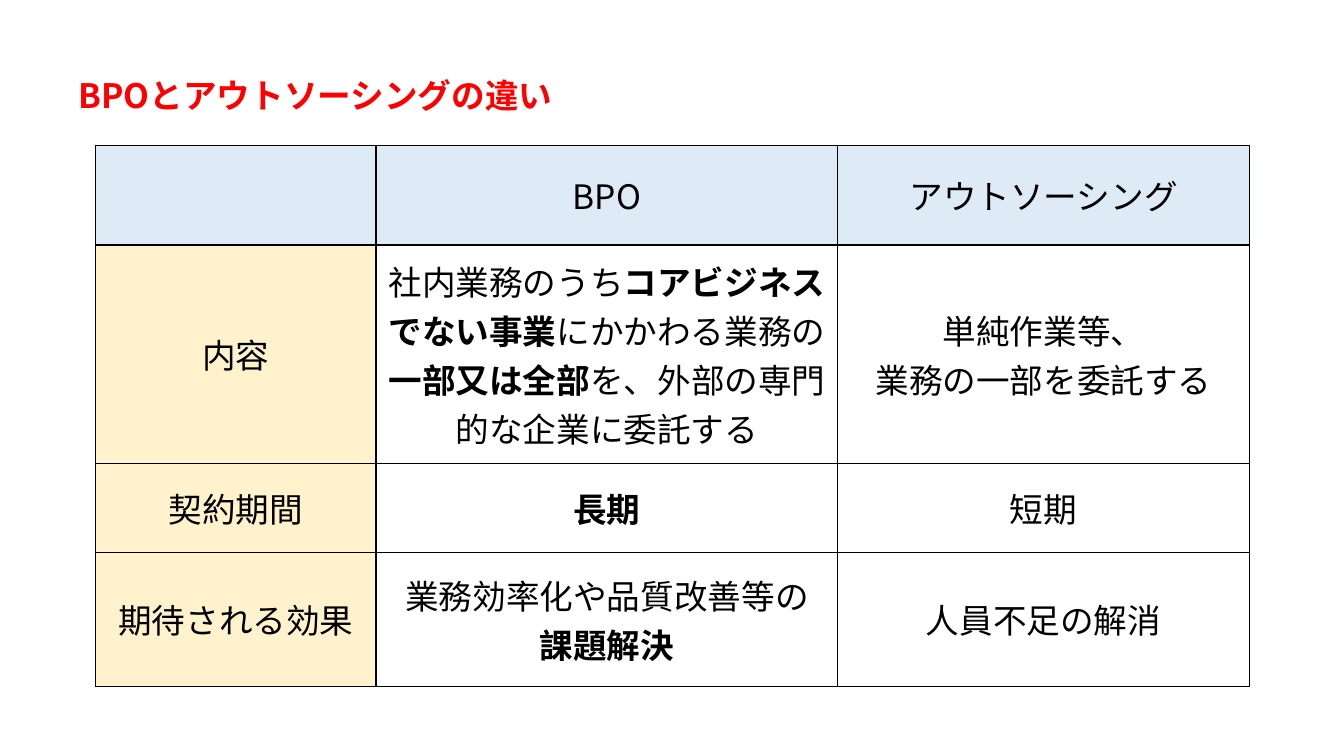
import pptx
import pptx.dml.color
import pptx.enum.text
import pptx.oxml
import pptx.oxml.ns
import pptx.util
from pptx.dml.color import RGBColor
from pptx.util import Inches

FONT = "Noto Sans CJK JP"
RED = RGBColor(0xFF, 0x00, 0x00)
BLACK = RGBColor(0x00, 0x00, 0x00)
HEADER_BLUE = RGBColor(0xDE, 0xEB, 0xF7)
LABEL_YELLOW = RGBColor(0xFF, 0xF2, 0xCC)

COLUMN_WIDTHS = [2.78, 4.58, 4.08]
ROW_HEIGHTS = [0.99, 2.17, 0.88, 1.33]
ROWS = [
    ["", "BPO", "アウトソーシング"],
    [
        "内容",
        "社内業務のうち**コアビジネスでない事業**にかかわる業務の"
        "**一部又は全部**を、外部の専門的な企業に委託する",
        "単純作業等、\n業務の一部を委託する",
    ],
    ["契約期間", "**長期**", "短期"],
    ["期待される効果", "業務効率化や品質改善等の\n**課題解決**", "人員不足の解消"],
]


def style_paragraph(p, color):
    p.font.size = pptx.util.Pt(24)
    p.font.color.rgb = color
    p.font.name = FONT
    latin = p._p.pPr.find(".//" + pptx.oxml.ns.qn("a:latin"))
    latin.addnext(pptx.oxml.parse_xml(
        f'<a:ea {pptx.oxml.ns.nsdecls("a")} typeface="{FONT}"/>'))


def write_text(tf, text, color, align):
    for i, line in enumerate(text.split("\n")):
        p = tf.add_paragraph() if i else tf.paragraphs[0]
        p.alignment = align
        style_paragraph(p, color)
        for j, part in enumerate(line.split("**")):
            if part:
                r = p.add_run()
                r.text = part
                r.font.bold = j % 2 == 1


def add_title(s, text):
    tf = s.shapes.add_textbox(Inches(0.68), Inches(0.69), Inches(11.97), Inches(0.5)).text_frame
    tf.word_wrap = True
    tf.auto_size = pptx.enum.text.MSO_AUTO_SIZE.SHAPE_TO_FIT_TEXT
    write_text(tf, text, RED, pptx.enum.text.PP_ALIGN.LEFT)


def set_borders(cell):
    tc_pr = cell._tc.get_or_add_tcPr()
    for i, side in enumerate(["lnL", "lnR", "lnT", "lnB"]):
        tc_pr.insert(i, pptx.oxml.parse_xml(
            f'<a:{side} {pptx.oxml.ns.nsdecls("a")} w="12700"><a:solidFill>'
            f'<a:srgbClr val="{BLACK}"/></a:solidFill></a:{side}>'))


def fill_cell(cell, color):
    if color is None:
        cell.fill.background()
    else:
        cell.fill.solid()
        cell.fill.fore_color.rgb = color


def add_comparison_table(s):
    table = s.shapes.add_table(
        len(ROWS), len(COLUMN_WIDTHS), Inches(0.95), Inches(1.44),
        Inches(sum(COLUMN_WIDTHS)), Inches(sum(ROW_HEIGHTS))).table
    table.first_row = False
    table.horz_banding = False
    for column, width in zip(table.columns, COLUMN_WIDTHS):
        column.width = Inches(width)
    for row, height in zip(table.rows, ROW_HEIGHTS):
        row.height = Inches(height)
    for i, texts in enumerate(ROWS):
        for j, text in enumerate(texts):
            cell = table.cell(i, j)
            cell.vertical_anchor = pptx.enum.text.MSO_ANCHOR.MIDDLE
            write_text(cell.text_frame, text, BLACK, pptx.enum.text.PP_ALIGN.CENTER)
            fill_cell(cell, HEADER_BLUE if i == 0 else LABEL_YELLOW if j == 0 else None)
            set_borders(cell)


def main():
    prs = pptx.Presentation()
    prs.slide_width = Inches(13.33)
    prs.slide_height = Inches(7.5)
    s = prs.slides.add_slide(prs.slide_layouts[6])
    add_title(s, "**BPOとアウトソーシングの違い**")
    add_comparison_table(s)
    prs.save("out.pptx")


if __name__ == "__main__":
    main()
